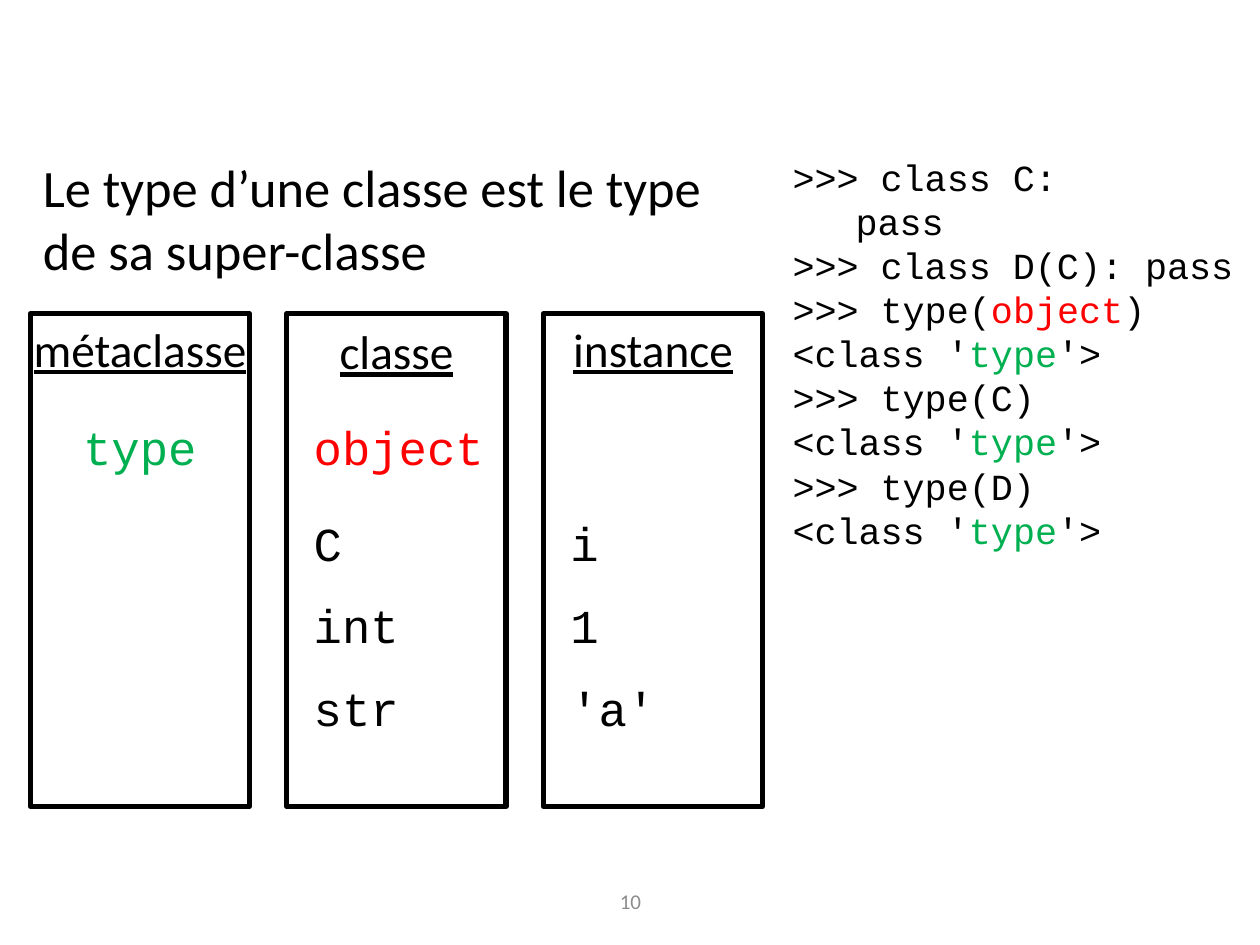
from pptx import Presentation
from pptx.dml.color import RGBColor
from pptx.enum.shapes import MSO_SHAPE
from pptx.enum.text import MSO_ANCHOR, MSO_AUTO_SIZE, PP_ALIGN
from pptx.util import Pt

BLACK, RED, GREEN, GREY = "000000", "FF0000", "00B050", "8C8C8C"
SANS, MONO = "Calibri", "Courier New"
FRAME_LEFT, FRAME_TOP, FRAME_WIDTH, FRAME_HEIGHT = 17.3, 179.3, 125.3, 281.5
FRAME_PITCH = 146.6
HEADING_OVERHANG, ENTRY_INDENT = 8, 8.3
ROW_TOPS = (235.4, 290.2, 337, 384.5)

COLUMNS = (
    ("métaclasse", 179.3, PP_ALIGN.CENTER, (("type", 0, GREEN),)),
    ("classe", 180.7, PP_ALIGN.LEFT, (("object", 0, RED), ("C", 1, BLACK),
                                      ("int", 2, BLACK), ("str", 3, BLACK))),
    ("instance", 179.3, PP_ALIGN.LEFT, (("i", 1, BLACK), ("1", 2, BLACK),
                                        ("'a'", 3, BLACK))),
)
TYPE_RESULT = (("<class '", BLACK), ("type", GREEN), ("'>", BLACK))
SESSION = (
    ((">>> class C:", BLACK),),
    (("\tpass", BLACK),),
    ((">>> class D(C): pass", BLACK),),
    ((">>> type(", BLACK), ("object", RED), (")", BLACK)),
    TYPE_RESULT,
    ((">>> type(C)", BLACK),),
    TYPE_RESULT,
    ((">>> type(D)", BLACK),),
    TYPE_RESULT,
)


def paint(target, color):
    """Give a font or line a solid colour from a hex string."""
    target.fill.solid()
    target.fill.fore_color.rgb = RGBColor.from_string(color)


def style(paragraph, size, face, color=BLACK, align=PP_ALIGN.LEFT):
    """Format a whole paragraph."""
    paragraph.alignment = align
    paragraph.font.size = Pt(size)
    paragraph.font.name = face
    paint(paragraph.font, color)


def add_label(slide, text, box, size, face, color=BLACK, align=PP_ALIGN.LEFT):
    """Add a one-paragraph text box and return its frame."""
    frame = slide.shapes.add_textbox(*map(Pt, box)).text_frame
    frame.word_wrap = True
    frame.text = text
    style(frame.paragraphs[0], size, face, color, align)
    return frame


def add_heading(slide, text, left, top):
    """Add an underlined heading centred on its column, slightly wider than it."""
    box = (left - HEADING_OVERHANG, top, FRAME_WIDTH + 2 * HEADING_OVERHANG, 40)
    heading = add_label(slide, text, box, 27, SANS, align=PP_ALIGN.CENTER)
    heading.paragraphs[0].font.underline = True


def add_frame(slide, left):
    """Add the empty outlined rectangle of one column."""
    box = (left, FRAME_TOP, FRAME_WIDTH, FRAME_HEIGHT)
    frame = slide.shapes.add_shape(MSO_SHAPE.RECTANGLE, *map(Pt, box))
    frame.shadow.inherit = False
    frame.fill.background()
    paint(frame.line, BLACK)
    frame.line.width = Pt(3)


def add_column(slide, index, heading, heading_top, align, entries):
    """Add a framed column with its heading and entries."""
    left = FRAME_LEFT + index * FRAME_PITCH
    indent = ENTRY_INDENT if align == PP_ALIGN.LEFT else 0
    add_frame(slide, left)
    add_heading(slide, heading, left, heading_top)
    for text, row, color in entries:
        box = (left + indent, ROW_TOPS[row], FRAME_WIDTH - indent, 40)
        add_label(slide, text, box, 27, MONO, color, align)


def add_session(slide, box, lines):
    """Add the interpreter session with its coloured names."""
    frame = slide.shapes.add_textbox(*map(Pt, box)).text_frame
    frame.word_wrap = True
    for index, line in enumerate(lines):
        paragraph = frame.add_paragraph() if index else frame.paragraphs[0]
        style(paragraph, 21, MONO)
        for text, color in line:
            run = paragraph.add_run()
            run.text = text
            if color != BLACK:
                paint(run.font, color)


def set_title(slide, text, box):
    """Move, fill and format the title placeholder."""
    title = slide.shapes.title
    title.left, title.top, title.width, title.height = map(Pt, box)
    frame = title.text_frame
    frame.text = text
    frame.word_wrap = True
    frame.auto_size = MSO_AUTO_SIZE.NONE
    frame.vertical_anchor = MSO_ANCHOR.TOP
    style(frame.paragraphs[0], 30, SANS)


def main():
    """Build the slide and save it."""
    deck = Presentation()
    deck.slide_width, deck.slide_height = Pt(720), Pt(540)
    slide = deck.slides.add_slide(deck.slide_layouts[5])
    set_title(slide, "Le type d’une classe est le type de sa super-classe",
              (17.3, 84.8, 418.3, 80))
    for index, column in enumerate(COLUMNS):
        add_column(slide, index, *column)
    add_session(slide, (445.8, 84.8, 283.7, 236), SESSION)
    number = add_label(slide, "10", (246.2, 500.4, 228.2, 28.8), 12, SANS, GREY,
                       PP_ALIGN.CENTER)
    number.vertical_anchor = MSO_ANCHOR.MIDDLE
    deck.save("out.pptx")


main()
